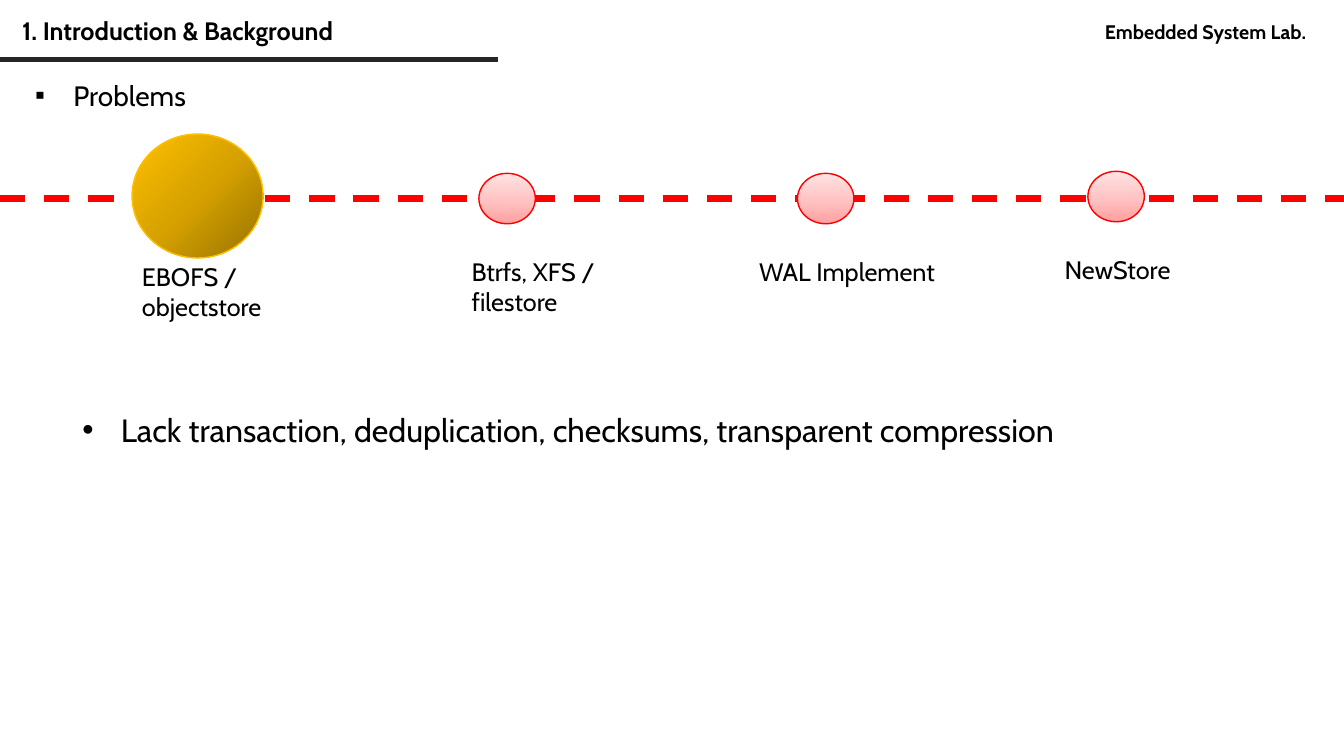
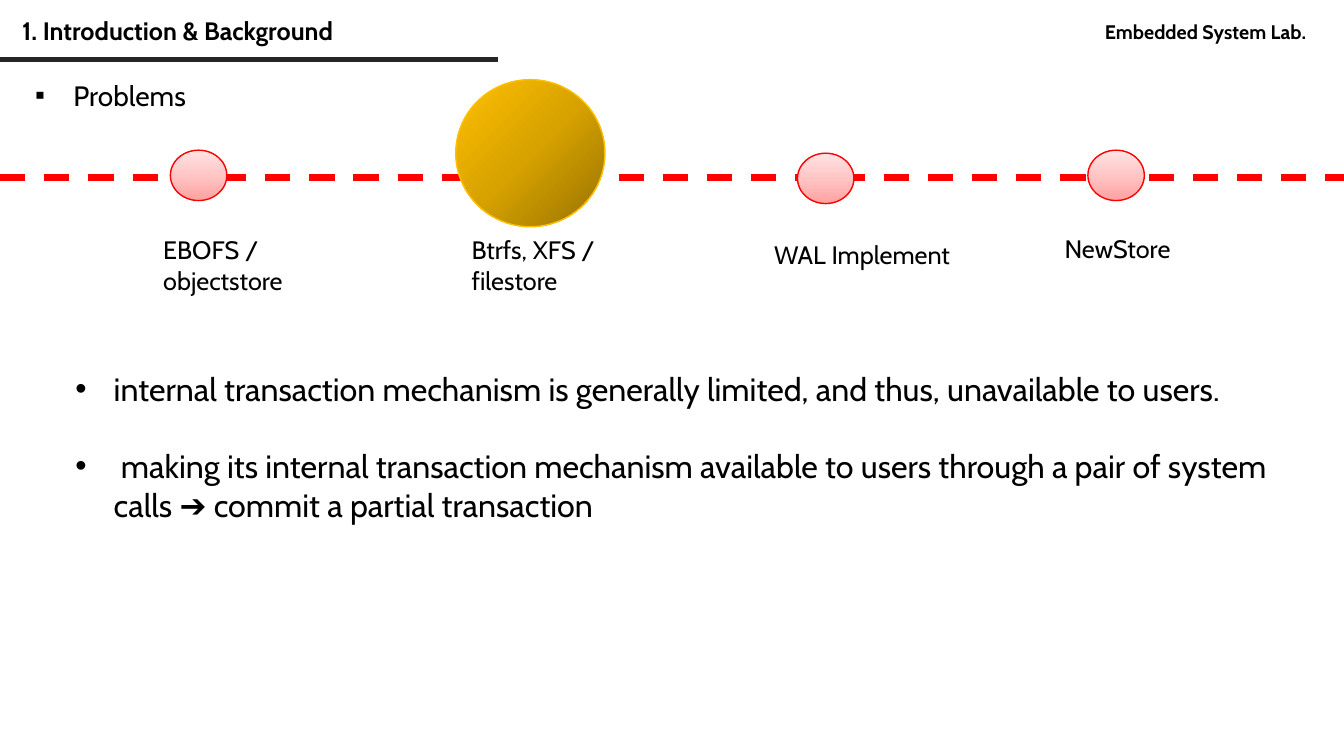
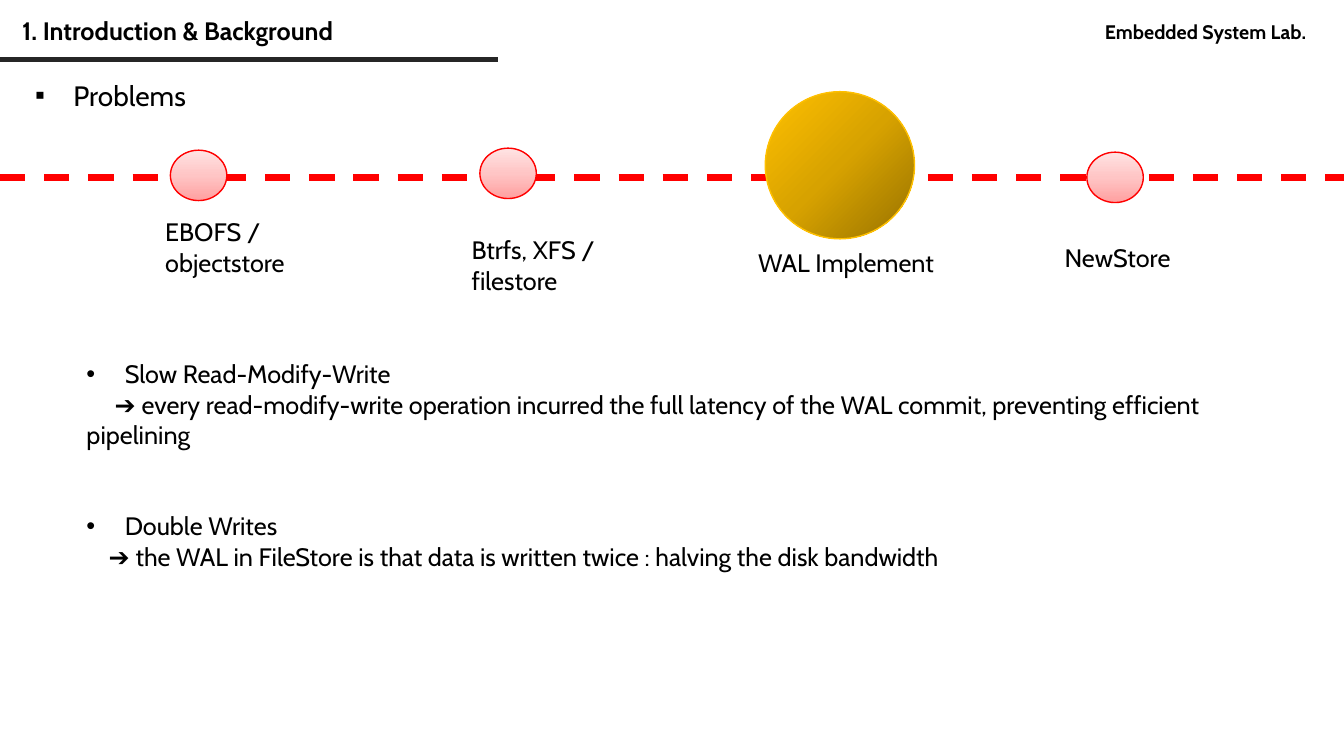
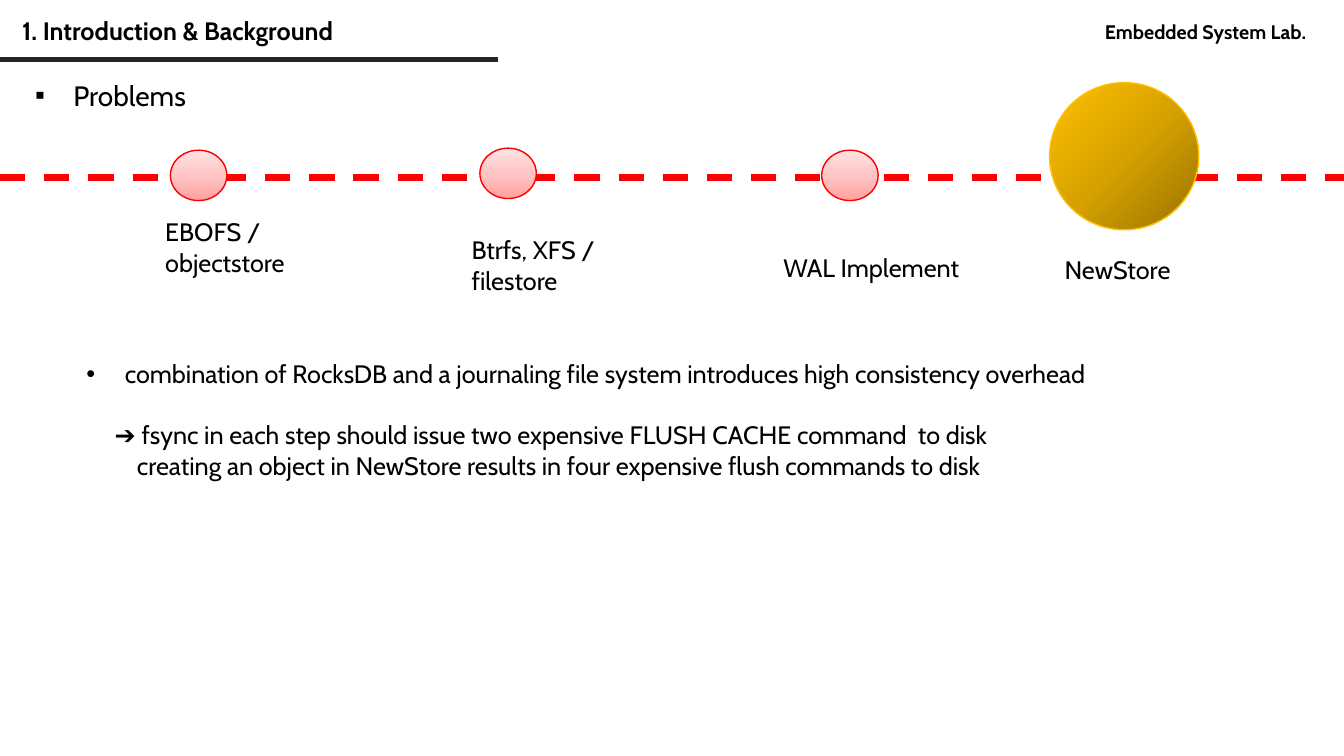
from lxml import etree
from pptx import Presentation
from pptx.dml.color import RGBColor
from pptx.enum import dml, shapes, text
from pptx.oxml import ns
from pptx.util import Inches, Pt

FONT = "Cabin"
BLACK = RGBColor(0x00, 0x00, 0x00)
CHARCOAL = RGBColor(0x26, 0x26, 0x26)
RED = RGBColor(0xFF, 0x00, 0x00)
GOLD = RGBColor(0xFF, 0xC0, 0x00)
GOLD_STOPS = (RGBColor(0x97, 0x72, 0x00), RGBColor(0xD7, 0xA2, 0x00), GOLD)
PINK_STOPS = (RGBColor(0xFF, 0xA0, 0xA0), RGBColor(0xFF, 0xC5, 0xC5),
              RGBColor(0xFF, 0xE3, 0xE3))

SLIDE_WIDTH, SLIDE_HEIGHT = 13.33, 7.5
HANGING = 0.38
LINE_HEIGHT = 1.215  # line pitch as a multiple of the font size
BALL_SIZE = (0.56, 0.5)

TITLE = "1. Introduction & Background"
LAB = "Embedded System Lab."
HEADING = [{"text": "Problems", "bullet": "▪"}]

# Milestone name, label width, label height
MILESTONES = [
    ("EBOFS / objectstore", 1.48, 0.71),
    ("Btrfs, XFS / filestore", 1.48, 0.71),
    ("WAL Implement", 2.09, 0.4),
    ("NewStore", 1.48, 0.4),
]

# Balls and labels are (left, top) in milestone order; "active" is the gold one.
# A note's "gap" is the number of empty lines above it.
SLIDES = [
    {
        "axis": 1.97, "active": 0, "active_size": (1.3, 1.23),
        "balls": [(1.31, 1.33), (4.75, 1.72), (7.91, 1.72), (10.79, 1.7)],
        "labels": [(1.31, 2.54), (4.58, 2.49), (7.43, 2.49), (10.46, 2.47)],
        "notes_at": (0.72, 4.02, 12.03, 0.49), "notes_size": 23,
        "notes": [
            {"text": "Lack transaction, deduplication, checksums, "
                     "transparent compression", "bullet": "•"},
        ],
    },
    {
        "axis": 1.76, "active": 1, "active_size": (1.48, 1.46),
        "balls": [(1.69, 1.49), (4.52, 0.79), (7.91, 1.52), (10.79, 1.49)],
        "labels": [(1.52, 2.28), (4.58, 2.28), (7.58, 2.33), (10.46, 2.27)],
        "notes_at": (0.65, 3.61, 12.03, 2.42), "notes_size": 23,
        "notes": [
            {"text": "internal transaction mechanism is generally limited, "
                     "and thus, unavailable to users.", "bullet": "•"},
            {"text": " making its internal transaction mechanism available to "
                     "users through a pair of system calls ➔ commit a partial "
                     "transaction", "bullet": "•", "gap": 1},
        ],
    },
    {
        "axis": 1.76, "active": 2, "active_size": (1.48, 1.46),
        "balls": [(1.69, 1.49), (4.76, 1.47), (7.59, 0.91), (10.78, 1.51)],
        "labels": [(1.54, 2.1), (4.58, 2.28), (7.42, 2.4), (10.46, 2.36)],
        "notes_at": (0.76, 3.51, 12.03, 2.22), "notes_size": 18,
        "notes": [
            {"text": "Slow Read-Modify-Write", "bullet": "•"},
            {"text": "➔ every read-modify-write operation incurred the full "
                     "latency of the WAL commit, preventing efficient "
                     "pipelining", "indent": 0.28},
            {"text": "Double Writes", "bullet": "•", "gap": 2},
            {"text": "➔ the WAL in FileStore is that data is written twice : "
                     "halving the disk bandwidth", "indent": 0.22},
        ],
    },
    {
        "axis": 1.76, "active": 3, "active_size": (1.48, 1.46),
        "balls": [(1.69, 1.49), (4.76, 1.47), (8.15, 1.49), (10.41, 0.82)],
        "labels": [(1.54, 2.1), (4.58, 2.28), (7.67, 2.45), (10.46, 2.47)],
        "notes_at": (0.76, 3.51, 12.03, 1.92), "notes_size": 18,
        "notes": [
            {"text": "combination of RocksDB and a journaling file system "
                     "introduces high consistency overhead", "bullet": "•"},
            {"text": "➔ fsync in each step should issue two expensive FLUSH "
                     "CACHE command  to disk", "indent": 0.28, "gap": 1},
            {"text": "creating an object in NewStore results in four "
                     "expensive flush commands to disk", "indent": 0.5},
        ],
    },
]


def add_child(parent, tag, **attributes):
    child = etree.SubElement(parent, ns.qn(tag))
    for name, value in attributes.items():
        child.set(name, str(value))
    return child


def indent_paragraph(paragraph, item):
    """Give a bullet with a hanging indent, or a plain first-line indent."""
    properties = paragraph._p.get_or_add_pPr()
    if "bullet" in item:
        properties.set("marL", str(Inches(HANGING)))
        properties.set("indent", str(-Inches(HANGING)))
        add_child(properties, "a:buFont", typeface="Arial")
        add_child(properties, "a:buChar", char=item["bullet"])
    elif "indent" in item:
        properties.set("marL", "0")
        properties.set("indent", str(Inches(item["indent"])))


def add_text(slide, box, items, size, bold=False):
    frame = slide.shapes.add_textbox(*map(Inches, box)).text_frame
    frame.word_wrap = True
    font_format = {"name": FONT, "size": Pt(size), "bold": bold}
    for index, item in enumerate(items):
        paragraph = frame.add_paragraph() if index else frame.paragraphs[0]
        run = paragraph.add_run()
        run.text = item["text"]
        for name, value in font_format.items():
            setattr(run.font, name, value)
        run.font.color.rgb = BLACK
        if "gap" in item:
            paragraph.space_before = Pt(round(item["gap"] * size * LINE_HEIGHT, 1))
        indent_paragraph(paragraph, item)
    return frame


def add_line(slide, top, width, color, weight, dash=None):
    connector = slide.shapes.add_connector(
        shapes.MSO_CONNECTOR.STRAIGHT,
        Inches(0), Inches(top), Inches(width), Inches(top))
    connector.line.color.rgb = color
    connector.line.width = Pt(weight)
    connector.line.dash_style = dash
    add_child(connector._element.spPr, "a:effectLst")


def fill_gradient(shape, stops, radial):
    """Three even stops, spreading from the lower right corner or upwards."""
    shape.fill.gradient()
    gradient = shape._element.spPr.find(ns.qn("a:gradFill"))
    for child in list(gradient):
        gradient.remove(child)
    stop_list = add_child(gradient, "a:gsLst")
    for index, color in enumerate(stops):
        stop = add_child(stop_list, "a:gs", pos=index * 50000)
        add_child(stop, "a:srgbClr", val=color)
    if radial:
        circle = add_child(gradient, "a:path", path="circle")
        add_child(circle, "a:fillToRect", l=100000, t=100000)
    else:
        add_child(gradient, "a:lin", ang=270 * 60000, scaled=0)


def add_ball(slide, position, size, active):
    ball = slide.shapes.add_shape(
        shapes.MSO_SHAPE.OVAL, *map(Inches, position + size))
    ball.shadow.inherit = False
    fill_gradient(ball, GOLD_STOPS if active else PINK_STOPS, active)
    ball.line.color.rgb = GOLD if active else RED
    ball.line.width = Pt(1)


def add_header(slide):
    add_line(slide, 0.59, 4.94, CHARCOAL, 3)
    add_text(slide, (10.86, 0.15, 2.45, 0.34), [{"text": LAB}], 14, bold=True)
    title = add_text(slide, (0.12, 0.12, 9.71, 0.4), [{"text": TITLE}], 18, bold=True)
    title.vertical_anchor = text.MSO_ANCHOR.MIDDLE
    title.paragraphs[0].line_spacing = 0.9
    add_text(slide, (0.25, 0.73, 12.03, 0.44), HEADING, 20)


def add_timeline(slide, content):
    add_line(slide, content["axis"], SLIDE_WIDTH, RED, 4.5, dml.MSO_LINE.DASH)
    rows = zip(MILESTONES, content["balls"], content["labels"])
    for index, ((name, width, height), ball, label) in enumerate(rows):
        active = index == content["active"]
        add_ball(slide, ball, content["active_size"] if active else BALL_SIZE, active)
        add_text(slide, label + (width, height), [{"text": name}], 18)


def main():
    presentation = Presentation()
    presentation.slide_width = Inches(SLIDE_WIDTH)
    presentation.slide_height = Inches(SLIDE_HEIGHT)
    for content in SLIDES:
        slide = presentation.slides.add_slide(presentation.slide_layouts[6])
        add_header(slide)
        add_timeline(slide, content)
        add_text(slide, content["notes_at"], content["notes"], content["notes_size"])
    presentation.save("out.pptx")


if __name__ == "__main__":
    main()
